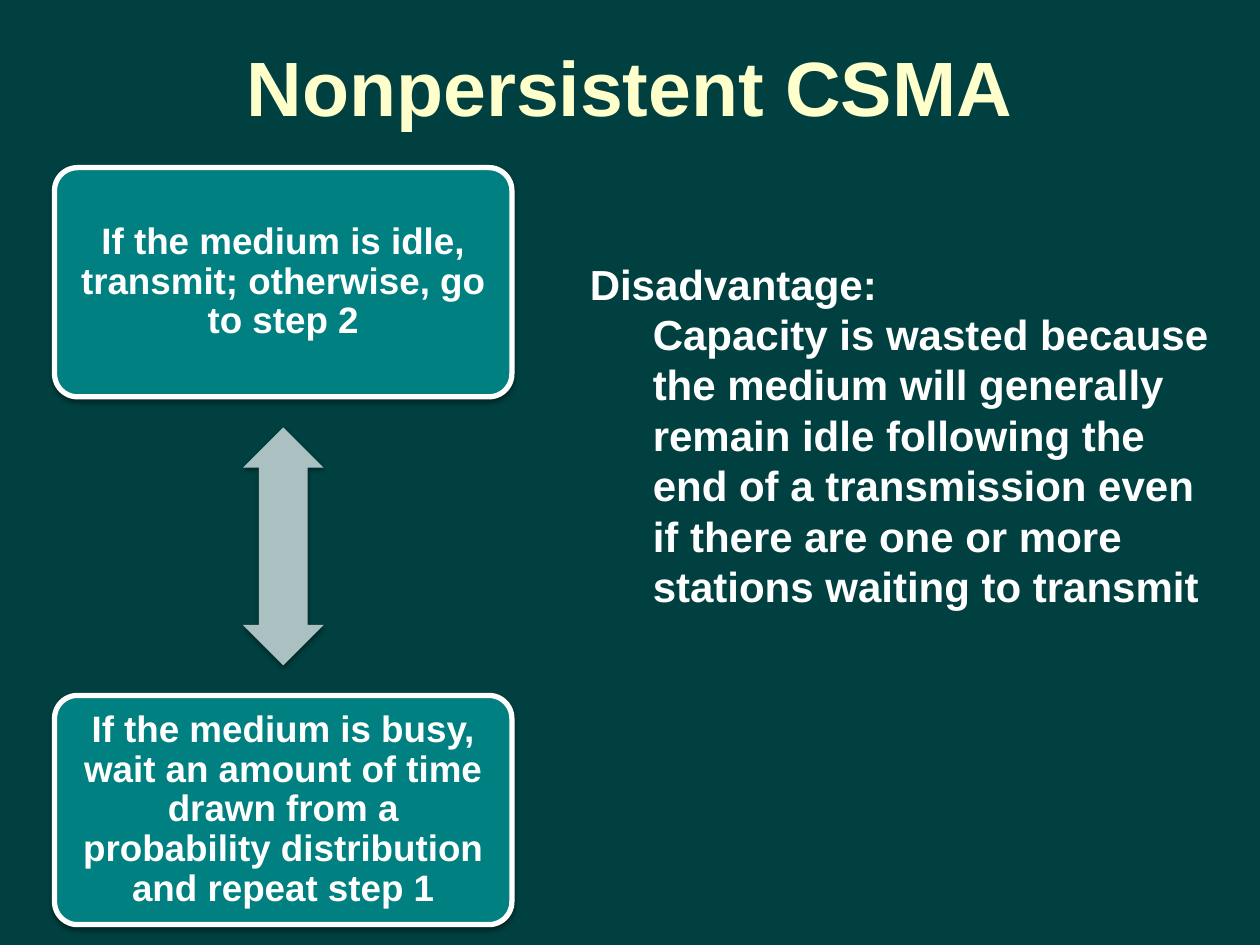
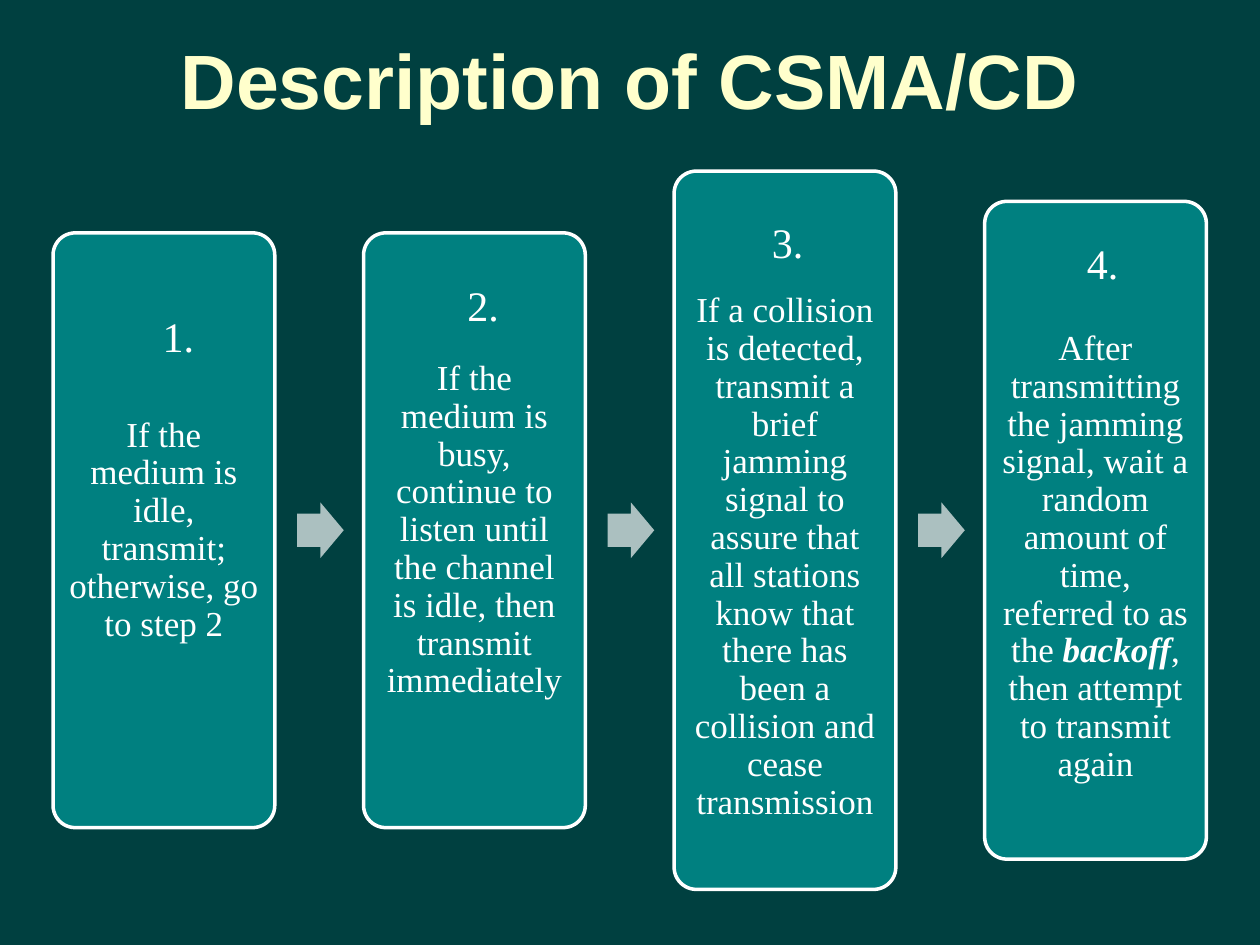
from lxml import etree
from pptx import Presentation
from pptx.dml.color import RGBColor
from pptx.enum.shapes import MSO_SHAPE
from pptx.enum.text import MSO_ANCHOR, PP_ALIGN
from pptx.oxml import parse_xml
from pptx.oxml.ns import nsdecls
from pptx.util import Cm, Pt

CENTER, LEFT = PP_ALIGN.CENTER, PP_ALIGN.LEFT
MIDDLE = MSO_ANCHOR.MIDDLE
ROUNDED = MSO_SHAPE.ROUNDED_RECTANGLE
RIGHT_ARROW, TWO_WAY_ARROW = MSO_SHAPE.RIGHT_ARROW, MSO_SHAPE.LEFT_RIGHT_ARROW
TITLE_ONLY = 5
SANS, SERIF = "Arial", "Times New Roman"
COLORS = {"background": "004040", "title": "FFFFCC", "box": "008080",
          "arrow": "ABC0C0", "text": "FFFFFF", "shadow": "000000"}


def rgb(name):
    return RGBColor.from_string(COLORS[name])


def style(paragraph, font_name, size, bold=False, color="text", align=CENTER):
    paragraph.alignment = align
    font = paragraph.font
    font.name, font.size, font.bold = font_name, Pt(size), bold
    font.color.rgb = rgb(color)


def add_slide(presentation, title, top, height):
    slide = presentation.slides.add_slide(presentation.slide_layouts[TITLE_ONLY])
    shape = slide.shapes.title
    shape.left, shape.top = Cm(1.27), Cm(top)
    shape.width, shape.height = Cm(22.86), Cm(height)
    shape.text_frame.text = title
    shape.text_frame.vertical_anchor = MIDDLE
    style(shape.text_frame.paragraphs[0], SANS, 44, bold=True, color="title")
    return slide


def add_shadow(shape):
    effects = shape._element.spPr.find(
        "{http://schemas.openxmlformats.org/drawingml/2006/main}effectLst")
    shadow = parse_xml(
        f'<a:outerShdw {nsdecls("a")} blurRad="{Pt(3.1)}" dist="{Pt(1.6)}" '
        f'dir="5400000" rotWithShape="0"><a:srgbClr val="{COLORS["shadow"]}"/></a:outerShdw>')
    etree.SubElement(shadow[0], shadow[0].tag.replace("srgbClr", "alpha"), val="38000")
    effects.append(shadow)


def add_filled(slide, kind, left, top, width, height, color, adjustments):
    shape = slide.shapes.add_shape(kind, Cm(left), Cm(top), Cm(width), Cm(height))
    shape.shadow.inherit = False
    shape.fill.solid()
    shape.fill.fore_color.rgb = rgb(color)
    shape.line.fill.background()
    for index, value in enumerate(adjustments):
        shape.adjustments[index] = value
    return shape


def add_arrow(slide, kind, left, top, width, height):
    return add_filled(slide, kind, left, top, width, height, "arrow", (0.6, 0.5))


def add_box(slide, left, top, width, height, runs, font_name, size, bold,
            line_width, inset, extra_top=0):
    """Runs are (text, emphasized) pairs of one paragraph."""
    shape = add_filled(slide, ROUNDED, left, top, width, height, "box", (0.1,))
    shape.line.color.rgb = rgb("text")
    shape.line.width = Pt(line_width)
    frame = shape.text_frame
    frame.word_wrap = True
    frame.vertical_anchor = MIDDLE
    frame.margin_left = frame.margin_right = frame.margin_bottom = Cm(inset)
    frame.margin_top = Cm(inset + extra_top)
    paragraph = frame.paragraphs[0]
    style(paragraph, font_name, size, bold)
    paragraph.line_spacing = 0.9
    for text, emphasized in runs:
        run = paragraph.add_run()
        run.text = text
        if emphasized:
            run.font.bold = run.font.italic = True
    return shape


def add_text(slide, left, top, width, height, lines, font_name, bold, align):
    box = slide.shapes.add_textbox(Cm(left), Cm(top), Cm(width), Cm(height))
    frame = box.text_frame
    frame.word_wrap = True
    frame.text = "\n".join(lines)
    for paragraph in frame.paragraphs:
        style(paragraph, font_name, 24, bold, align=align)
    return frame


def build_nonpersistent(presentation):
    slide = add_slide(presentation, "Nonpersistent CSMA", -0.64, 4.72)

    # Two alternating steps
    steps = ((3.38, "If the medium is idle, transmit; otherwise, go to step 2"),
             (14.02, "If the medium is busy, wait an amount of time drawn from a "
                     "probability distribution and repeat step 1"))
    for top, text in steps:
        add_shadow(add_box(slide, 1.1, top, 9.22, 4.62, [(text, False)],
                           SANS, 21, True, 3, 0.25))
    arrow = add_arrow(slide, TWO_WAY_ARROW, 3.31, 10.2, 4.8, 1.63)
    arrow.rotation = 90
    add_shadow(arrow)

    # Disadvantage
    frame = add_text(slide, 11.64, 5.08, 13.34, 8.46, (
        "Disadvantage:",
        "Capacity is wasted because the medium will generally remain idle following "
        "the end of a transmission even if there are one or more stations waiting "
        "to transmit"), SANS, True, LEFT)
    detail = frame.paragraphs[1]
    detail.level = 1
    properties = detail._p.get_or_add_pPr()
    properties.set("marL", str(Cm(1.27)))
    properties.set("indent", "0")


def build_collision_detection(presentation):
    slide = add_slide(presentation, "Description of CSMA/CD", 0, 3.18)
    first_left, pitch, box_width, middle = 1.07, 6.26, 4.47, 10.69
    arrow_width, arrow_height = 0.94, 1.12

    # Box height, extra space above the text, number (left, top, width), runs
    steps = (
        (11.99, 0, (2.54, 6.14, 2.11),
         [("If the medium is idle, transmit; otherwise, go to step 2", False)]),
        (11.99, 0, (8.89, 5.51, 1.7),
         [("If the medium is busy, continue to listen until the channel is idle, "
           "then transmit immediately", False)]),
        (14.48, 1.08, (15.03, 4.24, 1.7),
         [("If a collision is detected, transmit a brief jamming signal to assure "
           "that all stations know that there has been a collision and cease "
           "transmission", False)]),
        (13.26, 1.08, (21.38, 4.66, 1.7),
         [("After transmitting the jamming signal, wait a random amount of time, "
           "referred to as the ", False), ("backoff", True),
          (", then attempt to transmit again", False)]),
    )
    for index, (height, extra_top, number_place, runs) in enumerate(steps):
        left = first_left + index * pitch
        add_box(slide, left, middle - height / 2, box_width, height, runs,
                SERIF, 20, False, 2, 0.19, extra_top)
        add_text(slide, *number_place, 1.27, [f"{index + 1}."], SERIF, False, CENTER)
        if index < len(steps) - 1:
            add_arrow(slide, RIGHT_ARROW, left + box_width + 0.45,
                      middle - arrow_height / 2, arrow_width, arrow_height)


def main():
    presentation = Presentation()
    presentation.slide_width, presentation.slide_height = Cm(25.4), Cm(19.05)
    background = presentation.slide_master.background.fill
    background.solid()
    background.fore_color.rgb = rgb("background")
    build_nonpersistent(presentation)
    build_collision_detection(presentation)
    presentation.save("out.pptx")


if __name__ == "__main__":
    main()
